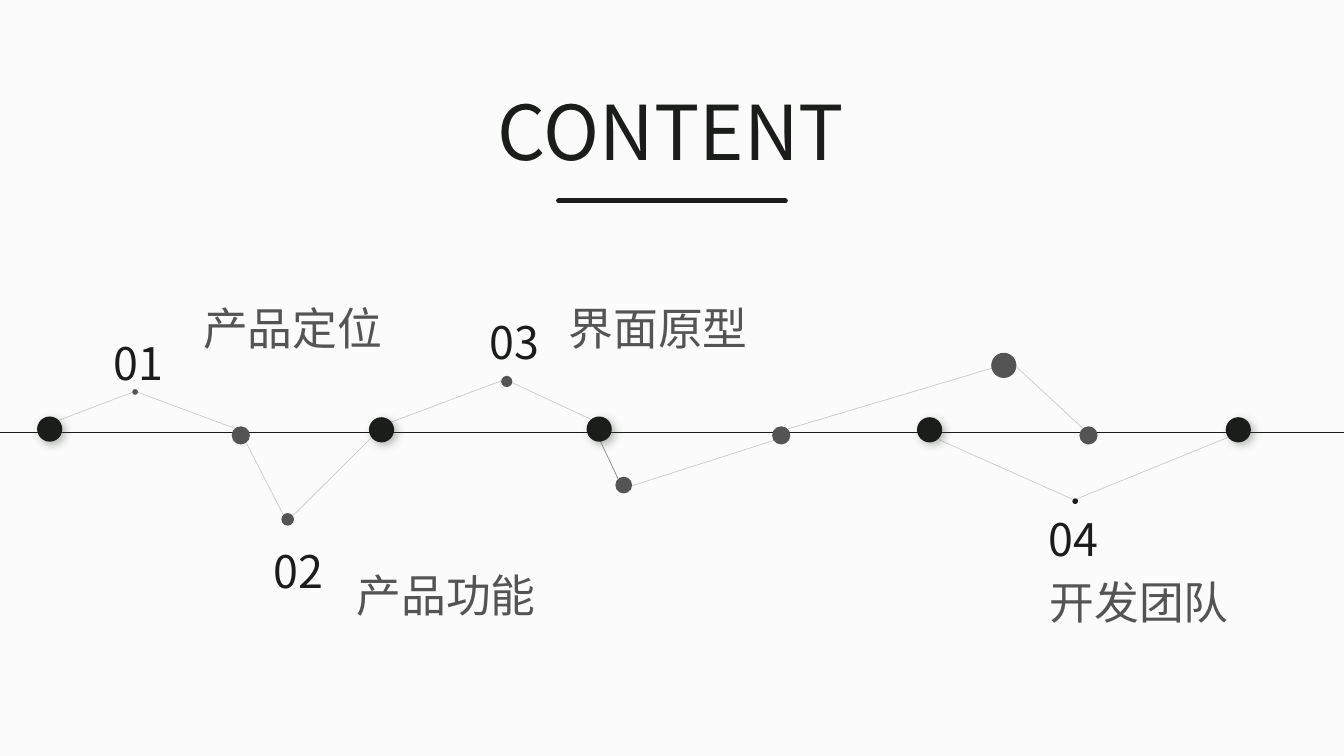
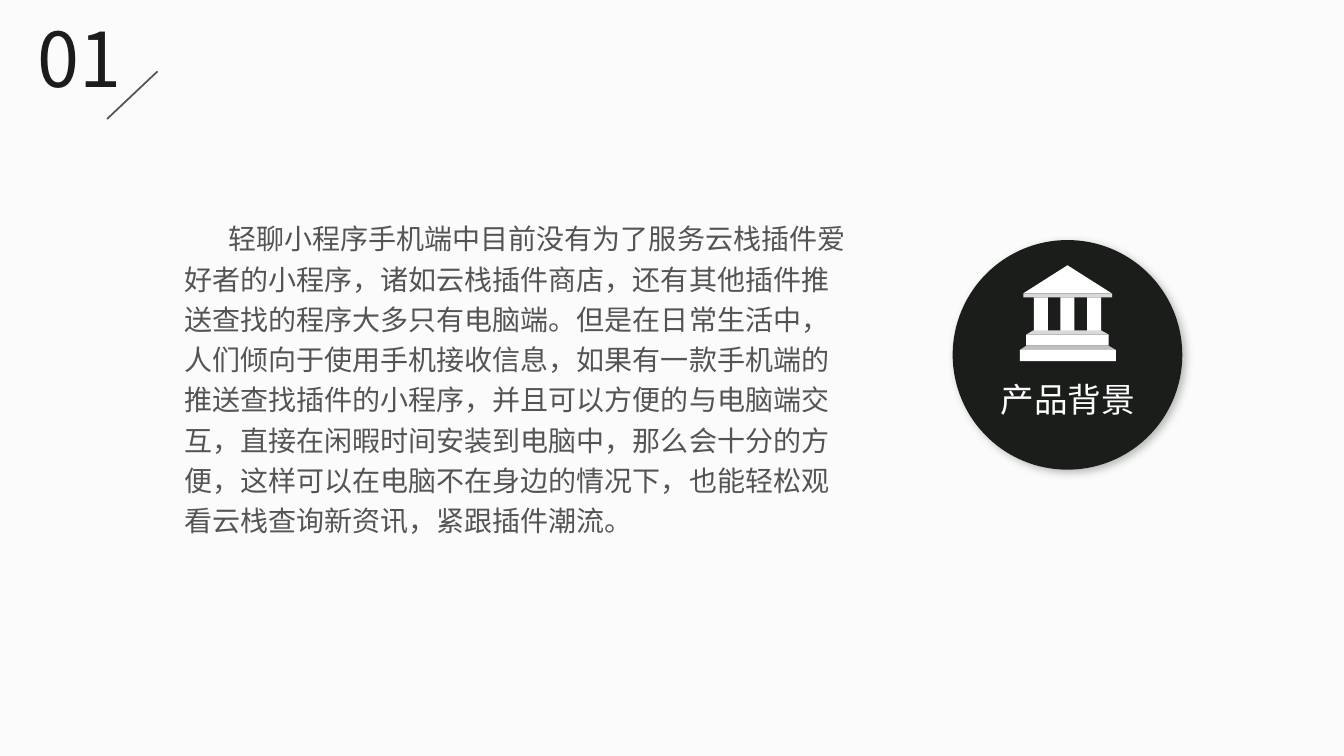
import pptx
import pptx.util
import pptx.dml.color
import pptx.enum.shapes
import pptx.enum.text
import pptx.oxml
import pptx.oxml.ns
from lxml import etree

RGB = pptx.dml.color.RGBColor
SHAPE = pptx.enum.shapes.MSO_SHAPE
ALIGN = pptx.enum.text.PP_ALIGN
qn = pptx.oxml.ns.qn

PAPER = RGB(0xFB, 0xFB, 0xFB)
INK = RGB(0x1A, 0x1D, 0x1A)
GREY = RGB(0x54, 0x54, 0x54)
SHADOW = RGB(0x50, 0x59, 0x50)
WHITE = RGB(0xFF, 0xFF, 0xFF)
SILVER = RGB(0xBF, 0xBF, 0xBF)
PALE = RGB(0xD9, 0xD9, 0xD9)

FONT = "Noto Sans CJK SC"
EMU_PER_PX = 6350
WIDTH, HEIGHT = 1920, 1080


def px(n):
    return pptx.util.Emu(n * EMU_PER_PX)


class Deck:
    def __init__(self):
        self.prs = pptx.Presentation()
        self.prs.slide_width, self.prs.slide_height = px(WIDTH), px(HEIGHT)

    def slide(self):
        s = self.prs.slides.add_slide(self.prs.slide_layouts[6])
        s.background.fill.solid()
        s.background.fill.fore_color.rgb = PAPER
        self.shapes = s.shapes

    def group(self):
        self.shapes = self.shapes.add_group_shape().shapes

    def paint(self, sp, color, shadow=False):
        sp.fill.solid()
        sp.fill.fore_color.rgb = color
        sp.line.fill.background()
        sp.shadow.inherit = False
        if shadow:
            effects = sp._element.spPr.find(qn("a:effectLst"))
            outer = etree.SubElement(
                effects, qn("a:outerShdw"), blurRad="76200", dist="38100",
                dir="2700000", algn="tl", rotWithShape="0")
            tint = etree.SubElement(outer, qn("a:srgbClr"), val=str(SHADOW))
            etree.SubElement(tint, qn("a:alpha"), val="40000")

    def rect(self, x, y, w, h, color):
        sp = self.shapes.add_shape(SHAPE.RECTANGLE, px(x), px(y), px(w), px(h))
        self.paint(sp, color)

    def dot(self, cx, cy, size, color, shadow=False):
        sp = self.shapes.add_shape(
            SHAPE.OVAL, px(cx - size // 2), px(cy - size // 2), px(size), px(size))
        self.paint(sp, color, shadow)

    def polygon(self, points, color):
        fb = self.shapes.build_freeform(*points[0], scale=EMU_PER_PX)
        fb.add_line_segments(points[1:], close=True)
        self.paint(fb.convert_to_shape(), color)

    def line(self, x1, y1, x2, y2, color, width, alpha=100, cap="flat"):
        c = self.shapes.add_connector(
            pptx.enum.shapes.MSO_CONNECTOR.STRAIGHT, px(x1), px(y1), px(x2), px(y2))
        c.line.color.rgb = color
        c.line.width = pptx.util.Pt(width)
        spPr = c._element.spPr
        spPr.find(qn("a:ln")).set("cap", cap)
        if alpha < 100:
            tint = next(spPr.iter(qn("a:srgbClr")))
            etree.SubElement(tint, qn("a:alpha"), val=str(alpha * 1000))
        etree.SubElement(spPr, qn("a:effectLst"))

    def text(self, x, y, w, h, text, size, color, align=ALIGN.LEFT,
             wrap=True, spacing=None, indent=0):
        tf = self.shapes.add_textbox(px(x), px(y), px(w), px(h)).text_frame
        tf.word_wrap = wrap
        tf.auto_size = pptx.enum.text.MSO_AUTO_SIZE.SHAPE_TO_FIT_TEXT
        p = tf.paragraphs[0]
        p.text = text
        p.alignment = align
        p.line_spacing = spacing
        p.font.name = FONT
        p.font.size = pptx.util.Pt(size)
        p.font.color.rgb = color
        pPr = p._p.get_or_add_pPr()
        etree.SubElement(pPr.find(qn("a:defRPr")), qn("a:ea"), typeface=FONT)
        if indent:
            pPr.set("marL", "0")
            pPr.set("indent", str(px(indent)))


def content_slide(deck):
    deck.slide()
    deck.line(0, 618, WIDTH, 618, INK, 0.75)
    faint_links = [
        (85, 600, 193, 559), (193, 559, 336, 612), (351, 631, 405, 736),
        (418, 737, 531, 625), (559, 603, 716, 544), (844, 599, 730, 546),
        (1106, 629, 903, 694), (1417, 526, 1125, 613), (1547, 612, 1452, 524),
        (1534, 714, 1341, 628), (1754, 625, 1535, 714)]
    for link in faint_links:
        deck.line(*link, INK, 0.5, alpha=21)
    deck.line(851, 616, 883, 684, INK, 0.5, alpha=51)

    for cx, cy in [(71, 613), (545, 614), (856, 613), (1328, 614), (1769, 614)]:
        deck.dot(cx, cy, 36, INK, shadow=True)
    grey_dots = [
        (344, 622, 26), (1116, 622, 26), (1555, 622, 26), (411, 742, 18),
        (724, 545, 16), (891, 693, 24), (1434, 522, 36), (193, 560, 8)]
    for cx, cy, size in grey_dots:
        deck.dot(cx, cy, size, GREY)
    deck.dot(1536, 716, 8, INK)

    topics = [
        ("产品定位", 59, 472, 276, 422), ("产品功能", 287, 769, 495, 804),
        ("界面原型", 596, 442, 798, 423), ("开发团队", 1395, 724, 1485, 814)]
    for i, (topic, number_x, number_y, x, y) in enumerate(topics, 1):
        deck.text(number_x, number_y, 278, 92, f"{i:02}", 32, INK, ALIGN.CENTER)
        deck.text(x, y, 285, 92, topic, 32, GREY, wrap=False)

    deck.text(697, 114, 552, 145, "CONTENT", 54, INK, wrap=False)
    deck.line(798, 287, 1122, 287, INK, 3.5, cap="rnd")


def background_slide(deck):
    deck.slide()
    deck.text(40, 10, 164, 145, "01", 54, INK, ALIGN.JUSTIFY)
    deck.line(225, 102, 153, 170, GREY, 1.25)
    body = (
        "轻聊小程序手机端中目前没有为了服务云栈插件爱好者的小程序，"
        "诸如云栈插件商店，还有其他插件推送查找的程序大多只有电脑端。"
        "但是在日常生活中，人们倾向于使用手机接收信息，"
        "如果有一款手机端的推送查找插件的小程序，并且可以方便的与电脑端交互，"
        "直接在闲暇时间安装到电脑中，那么会十分的方便，"
        "这样可以在电脑不在身边的情况下，也能轻松观看云栈查询新资讯，紧跟插件潮流。")
    deck.text(249, 300, 978, 480, body, 20, GREY, spacing=1.2, indent=63)
    deck.dot(1525, 507, 328, INK, shadow=True)
    deck.text(1377, 534, 297, 72, "产品背景", 24, WHITE, ALIGN.CENTER)

    deck.group()
    deck.polygon([(1588, 419), (1525, 379), (1462, 419)], WHITE)
    deck.rect(1462, 419, 127, 6, PALE)
    for i in range(3):
        deck.rect(1477 + 38 * i, 425, 20, 49, WHITE)
    deck.polygon([(1573, 472), (1476, 472), (1466, 478), (1584, 478)], PALE)
    deck.rect(1466, 478, 118, 16, WHITE)
    deck.polygon([(1584, 494), (1466, 494), (1457, 500), (1594, 500)], SILVER)
    deck.rect(1457, 500, 137, 16, WHITE)


def main():
    deck = Deck()
    content_slide(deck)
    background_slide(deck)
    deck.prs.save("out.pptx")


if __name__ == "__main__":
    main()
